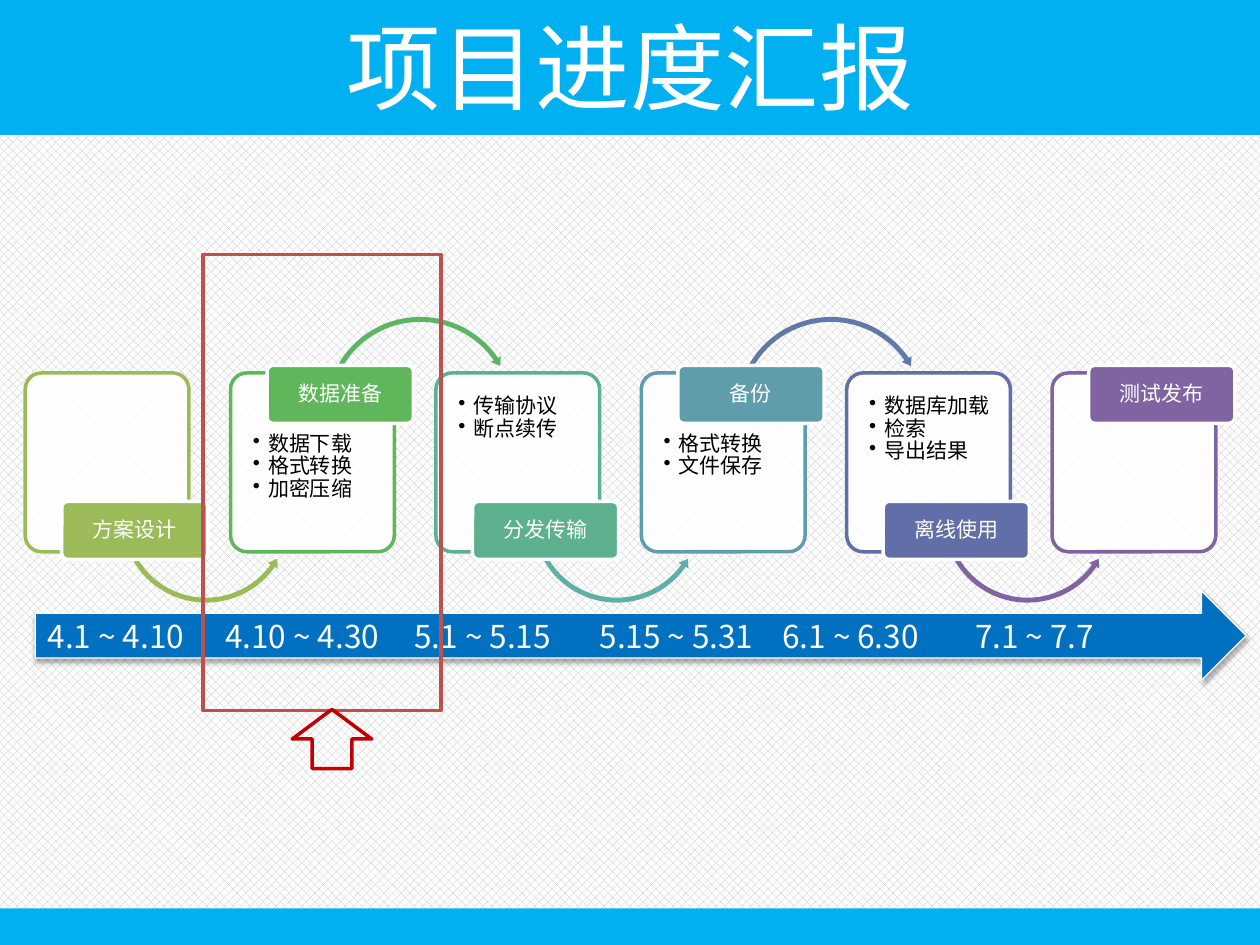
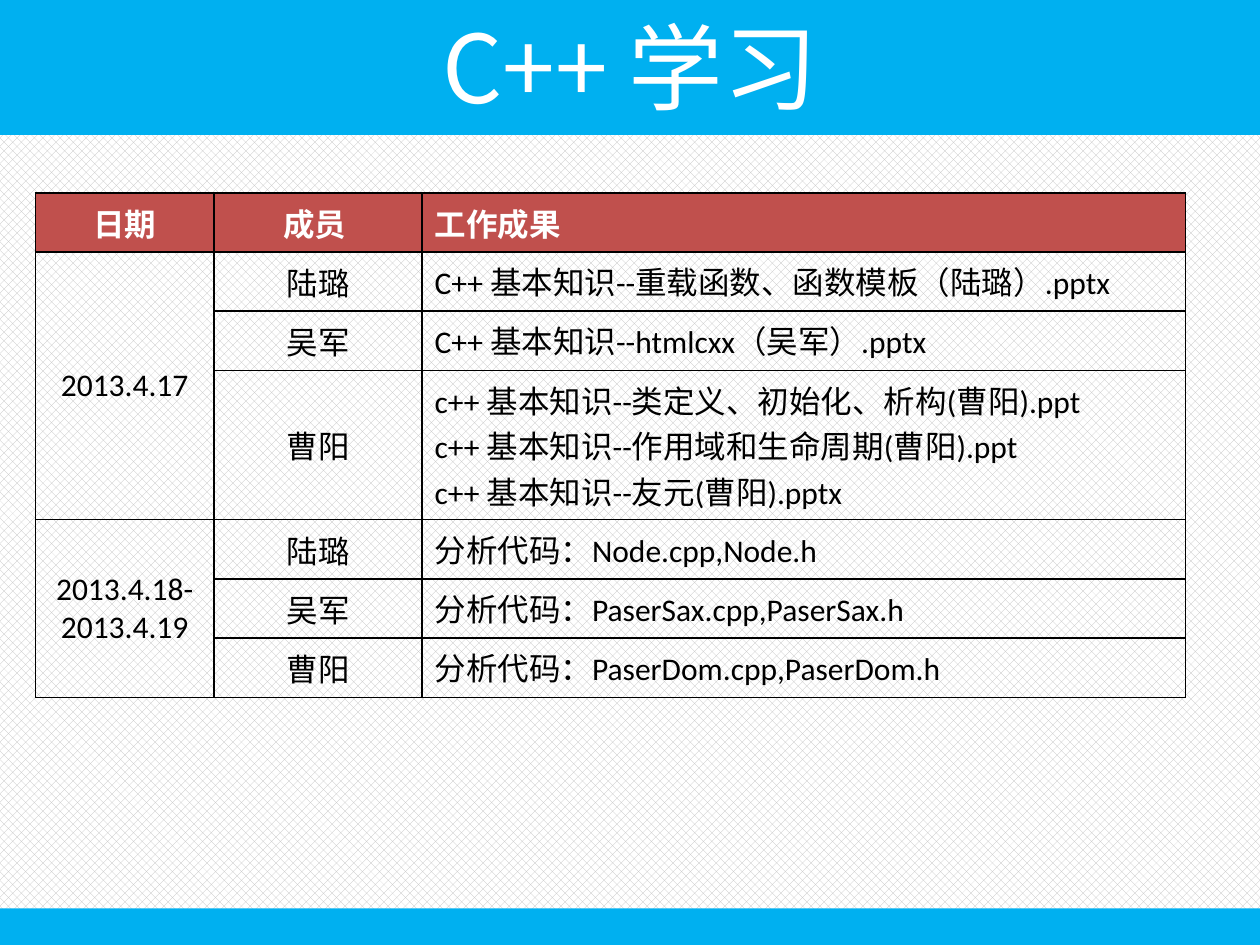
from dataclasses import dataclass

import pptx
import pptx.dml.color
import pptx.enum.dml
import pptx.enum.shapes
import pptx.enum.text
import pptx.oxml
import pptx.oxml.ns
import pptx.util

Pt, Inches = pptx.util.Pt, pptx.util.Inches
SHAPE = pptx.enum.shapes.MSO_SHAPE
ALIGN = pptx.enum.text.PP_ALIGN
ANCHOR = pptx.enum.text.MSO_ANCHOR

BAND, WHITE, BLACK = "00B0F0", "FFFFFF", "000000"
TITLE_FONT, BODY_FONT, TABLE_FONT = "Noto Sans CJK JP", "Noto Sans CJK SC", "Calibri"


@dataclass
class Box:
    """A region in inches, divided into 100 columns and 100 rows."""
    left: float
    top: float
    width: float
    height: float

    def area(self, col, row, cols, rows):
        """Return the region at the given columns and rows."""
        return Box(self.left + self.width * col / 100, self.top + self.height * row / 100,
                   self.width * cols / 100, self.height * rows / 100)

    def emu(self):
        """Return left, top, width and height as lengths."""
        return [Inches(v) for v in (self.left, self.top, self.width, self.height)]


PAGE = Box(0, 0, 10, 7.5)

# label, label colour, colour of the arc to the next step, tasks
STEPS = [
    ("方案设计", "9BBB59", "9BBB59", []),
    ("数据准备", "5FB65B", "5CB565", ["数据下载", "格式转换", "加密压缩"]),
    ("分发传输", "5DB18E", "5EAFA6", ["传输协议", "断点续传"]),
    ("备份", "5F9DAC", "6179A8", ["格式转换", "文件保存"]),
    ("离线使用", "626EA7", "8064A2", ["数据库加载", "检索", "导出结果"]),
    ("测试发布", "8064A2", None, []),
]
PERIODS = ["4.1 ~ 4.10", "4.10 ~ 4.30", "5.1 ~ 5.15", "5.15 ~ 5.31", "6.1 ~ 6.30", "7.1 ~ 7.7"]
PERIOD_STOPS = [14.67, 30.28, 45.58, 60.67, 76.59]  # percent of the timeline's width

HEADINGS = ["日期", "成员 ", "工作成果"]
WORK = [
    ("2013.4.17", [
        ("陆璐", ["C++ 基本知识--重载函数、函数模板（陆璐）.pptx"]),
        ("吴军", ["C++ 基本知识--htmlcxx（吴军）.pptx"]),
        ("曹阳", ["c++ 基本知识--类定义、初始化、析构(曹阳).ppt",
                "c++ 基本知识--作用域和生命周期(曹阳).ppt",
                "c++ 基本知识--友元(曹阳).pptx"])]),
    ("2013.4.18-2013.4.19", [
        ("陆璐", ["分析代码：Node.cpp,Node.h"]),
        ("吴军", ["分析代码：PaserSax.cpp,PaserSax.h"]),
        ("曹阳", ["分析代码：PaserDom.cpp,PaserDom.h"])]),
]


def color(hex_string):
    """Turn a hex string into a colour."""
    return pptx.dml.color.RGBColor.from_string(hex_string)


def add_xml(parent, tag, content="", **attributes):
    """Append one DrawingML element to parent and return it."""
    listed = "".join(f' {key}="{value}"' for key, value in attributes.items())
    element = pptx.oxml.parse_xml(
        f'<a:{tag} {pptx.oxml.ns.nsdecls("a")}{listed}>{content}</a:{tag}>')
    parent.append(element)
    return element


def write(frame, lines, size=12, font=BODY_FONT, east_asian=None, ink=WHITE, bold=False,
          align=ALIGN.CENTER, spacing=None, bullets=False):
    """Fill a text frame with one formatted paragraph per line."""
    for index, line in enumerate(lines):
        paragraph = frame.paragraphs[0] if index == 0 else frame.add_paragraph()
        paragraph.alignment = align
        if spacing:
            paragraph.line_spacing = spacing
        if bullets:
            paragraph.level = 1
            properties = paragraph._p.get_or_add_pPr()
            properties.set("marL", str(Inches(0.12)))
            properties.set("indent", str(-Inches(0.12)))
            add_xml(properties, "buChar", char="•")
        run = paragraph.add_run()
        run.text = line
        run.font.size, run.font.bold, run.font.name = Pt(size), bold, font
        run.font.color.rgb = color(ink)
        add_xml(run._r.get_or_add_rPr(), "ea", typeface=east_asian or font)


def inset(frame, left, top, right, bottom):
    """Set the margins of a text frame in inches."""
    frame.margin_left, frame.margin_top = Inches(left), Inches(top)
    frame.margin_right, frame.margin_bottom = Inches(right), Inches(bottom)


def paint(shape, fill=None, line=None, weight=2, opacity=100):
    """Give a shape its fill and outline."""
    if fill:
        shape.fill.solid()
        shape.fill.fore_color.rgb = color(fill)
        if opacity < 100:
            tint = shape._element.spPr.find(
                pptx.oxml.ns.qn("a:solidFill") + "/" + pptx.oxml.ns.qn("a:srgbClr"))
            add_xml(tint, "alpha", val=opacity * 1000)
    else:
        shape.fill.background()
    if line:
        shape.line.color.rgb = color(line)
        shape.line.width = Pt(weight)
    else:
        shape.line.fill.background()


def add_shape(slide, kind, box, adjust=(), **look):
    """Draw a preset shape in the box, without a shadow."""
    shape = slide.shapes.add_shape(kind, *box.emu())
    shape.shadow.inherit = False
    for index, value in enumerate(adjust):
        shape.adjustments[index] = value
    paint(shape, **look)
    return shape


def add_page(deck, title):
    """Add a slide with the title band and the footer band."""
    slide = deck.slides.add_slide(deck.slide_layouts[5])
    heading = slide.shapes.title
    heading.left, heading.top, heading.width, heading.height = PAGE.area(0, -0.4, 100, 14.67).emu()
    paint(heading, fill=BAND)
    heading.text_frame.auto_size = pptx.enum.text.MSO_AUTO_SIZE.NONE
    heading.text_frame.vertical_anchor = ANCHOR.MIDDLE
    write(heading.text_frame, [title], size=54, font=TITLE_FONT)
    add_shape(slide, SHAPE.RECTANGLE, PAGE.area(0, 96.13, 100, 4.13), fill=BAND)
    return slide


def draw_step(slide, box, step, label_on_top):
    """Draw one step: its card, the arc to the next step and its label."""
    label, tone, arc_tone, tasks = step
    card = add_shape(slide, SHAPE.ROUNDED_RECTANGLE, box.area(0, 20.26, 79.75, 61.2), [0.1],
                     fill=WHITE, opacity=90, line=tone)
    inset(card.text_frame, 0.14, 0.44 if label_on_top else 0.14, 0.05, 0.05)
    card.text_frame.vertical_anchor = ANCHOR.TOP
    write(card.text_frame, tasks, ink=BLACK, align=ALIGN.LEFT, spacing=0.9, bullets=True)
    if arc_tone and label_on_top:
        add_shape(slide, SHAPE.CIRCULAR_ARROW, box.area(44.79, 0, 95.09, 66.81),
                  [0.025, 3.041, 195.204, 125.755, 0.029], fill=arc_tone)
    elif arc_tone:
        add_shape(slide, SHAPE.LEFT_CIRCULAR_ARROW, box.area(45.4, 40.09, 85.28, 59.91),
                  [0.028, 3.43, 21.185, 90.245, 0.033], fill=arc_tone)
    tag = add_shape(slide, SHAPE.ROUNDED_RECTANGLE,
                    box.area(17.79, 17.67 if label_on_top else 64.22, 71.17, 19.83), [0.1],
                    fill=tone, line=WHITE)
    inset(tag.text_frame, 0.03, 0.02, 0.03, 0.02)
    tag.text_frame.vertical_anchor = ANCHOR.MIDDLE
    write(tag.text_frame, [label], spacing=0.9)


def draw_process(slide, box):
    """Draw the steps in equal columns, labels alternately below and above."""
    share = 100 / len(STEPS)
    for index, step in enumerate(STEPS):
        draw_step(slide, box.area(index * share, 0, share, 100), step, index % 2 == 1)


def draw_timeline(slide, box):
    """Draw the arrow of periods, aligned on tab stops."""
    arrow = add_shape(slide, SHAPE.RIGHT_ARROW, box, fill="0070C0", line=WHITE, weight=0.75)
    effects = arrow._element.spPr.find(pptx.oxml.ns.qn("a:effectLst"))
    add_xml(effects, "outerShdw", '<a:srgbClr val="000000"><a:alpha val="35000"/></a:srgbClr>',
            blurRad=Pt(3.1), dist=Pt(1.8), dir=90 * 60000, rotWithShape=0)
    arrow.text_frame.vertical_anchor = ANCHOR.MIDDLE
    write(arrow.text_frame, ["\t".join(PERIODS)], size=18, align=ALIGN.LEFT)
    stops = "".join(f'<a:tab pos="{Inches(box.width * stop / 100)}" algn="l"/>'
                    for stop in PERIOD_STOPS)
    add_xml(arrow.text_frame.paragraphs[0]._p.get_or_add_pPr(), "tabLst", stops)


def draw_current_step(slide, frame, pointer):
    """Frame the current step and point to it from below."""
    add_shape(slide, SHAPE.RECTANGLE, frame, line="C0504D")
    add_shape(slide, SHAPE.UP_ARROW, pointer, line="C00000")


def fill_cell(cell, lines, header=False, align=ALIGN.CENTER, anchor=ANCHOR.MIDDLE):
    """Write a table cell."""
    cell.vertical_anchor = anchor
    write(cell.text_frame, lines, size=18, font=TABLE_FONT, east_asian=BODY_FONT,
          ink=WHITE if header else BLACK, bold=header, align=align)


def style_cell(cell, fill=None):
    """Give a table cell black borders and its fill."""
    for side in ("lnL", "lnR", "lnT", "lnB"):
        add_xml(cell._tc.get_or_add_tcPr(), side,
                f'<a:solidFill><a:srgbClr val="{BLACK}"/></a:solidFill>', w=Pt(1))
    if fill:
        cell.fill.solid()
        cell.fill.fore_color.rgb = color(fill)
    else:
        cell.fill.background()


def draw_work_table(slide, box):
    """Draw the table of results by date and member."""
    results = [result for _, members in WORK for result in members]
    table = slide.shapes.add_table(len(results) + 1, len(HEADINGS), *box.emu()).table
    table.horz_banding = False
    for column, share in zip(table.columns, (15.55, 18.07, 66.38)):
        column.width = Inches(box.width * share / 100)
    for index, row in enumerate(table.rows):
        row.height = Inches(0.47 if index == 0 or len(results[index - 1][1]) == 1 else 1.18)
        for cell in row.cells:
            style_cell(cell, "C0504D" if index == 0 else None)
    for index, heading in enumerate(HEADINGS):
        last = index == len(HEADINGS) - 1
        fill_cell(table.cell(0, index), [heading], header=True,
                  align=ALIGN.LEFT if last else ALIGN.CENTER)
    row = 1
    for date, members in WORK:
        table.cell(row, 0).merge(table.cell(row + len(members) - 1, 0))
        fill_cell(table.cell(row, 0), [date])
        for member, files in members:
            fill_cell(table.cell(row, 1), [member])
            fill_cell(table.cell(row, 2), files, align=ALIGN.LEFT, anchor=ANCHOR.TOP)
            row += 1


def main():
    """Build the deck."""
    deck = pptx.Presentation()
    deck.slide_width, deck.slide_height = Inches(PAGE.width), Inches(PAGE.height)
    backdrop = deck.slide_master.background.fill
    backdrop.patterned()
    backdrop.pattern = pptx.enum.dml.MSO_PATTERN.PERCENT_50
    backdrop.fore_color.rgb, backdrop.back_color.rgb = color("BFBFBF"), color(WHITE)

    progress = add_page(deck, "项目进度汇报")
    draw_process(progress, PAGE.area(2, 33.2, 97.8, 30.93))
    draw_timeline(progress, PAGE.area(2.8, 62.53, 96.1, 9.47))
    draw_current_step(progress, PAGE.area(16.1, 26.93, 18.9, 48.27),
                      PAGE.area(23.2, 75.07, 6.3, 6.27))

    study = add_page(deck, "C++ 学习")
    draw_work_table(study, PAGE.area(2.8, 20.4, 91.3, 52.67))
    deck.save("out.pptx")


main()
